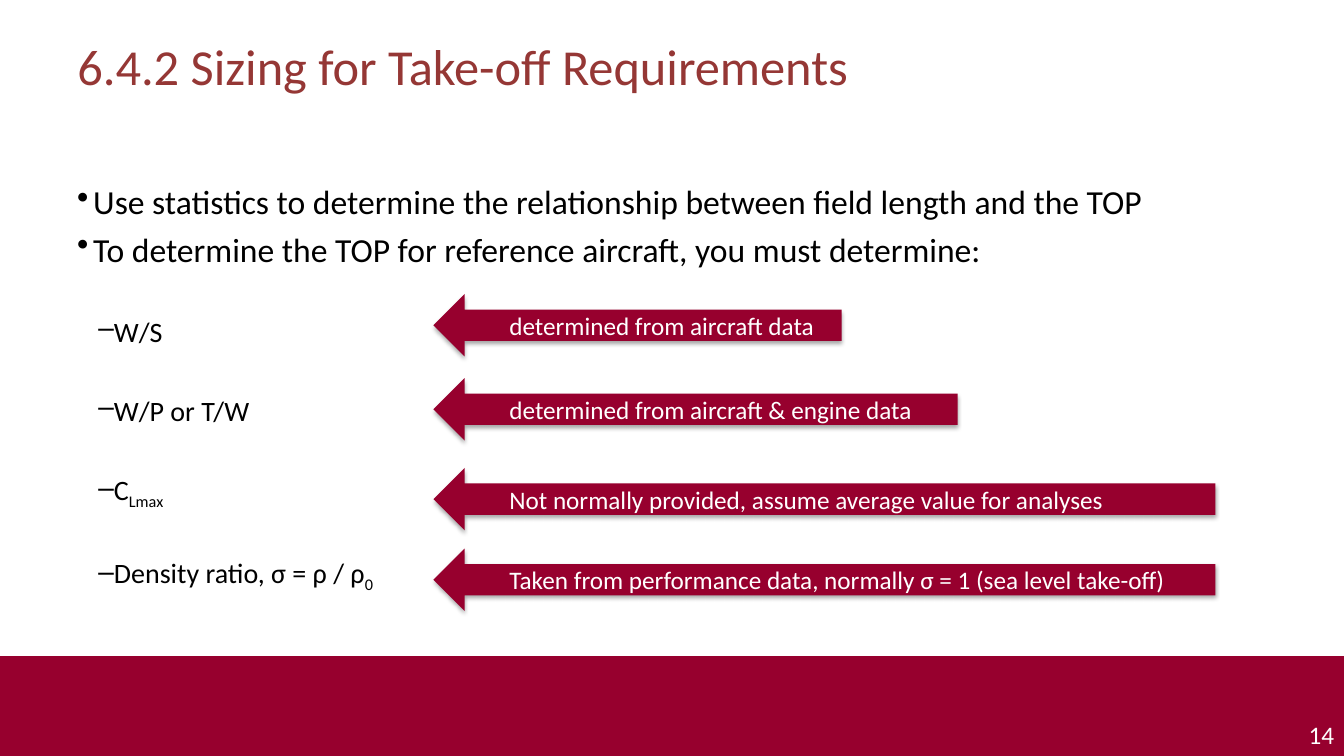
from dataclasses import dataclass

from lxml import etree
from pptx import Presentation
from pptx import util as u
from pptx.dml.color import RGBColor
from pptx.enum import shapes, text
from pptx.oxml.ns import qn


@dataclass(frozen=True)
class Theme:
    font: str = "Calibri"
    maroon: str = "97002E"
    heading: str = "953735"
    ink: str = "000000"
    paper: str = "FFFFFF"
    title_size: int = 36
    point_size: int = 24
    item_size: int = 20
    label_size: int = 18


class SlideBuilder:
    COLUMNS, ROWS = 80, 45

    def __init__(self, deck, theme):
        self.theme = theme
        self.column = deck.slide_width / self.COLUMNS
        self.row = deck.slide_height / self.ROWS
        self.slide = deck.slides.add_slide(deck.slide_layouts[5])

    def place(self, left, top, width, height):
        return (round(left * self.column), round(top * self.row),
                round(width * self.column), round(height * self.row))

    def add_words(self, paragraph, wording, size, color, baseline=0):
        run = paragraph.add_run()
        run.text = wording
        run.font.name = self.theme.font
        run.font.size = u.Pt(size)
        run.font.color.rgb = RGBColor.from_string(color)
        if baseline:
            run._r.get_or_add_rPr().set("baseline", str(baseline * 1000))

    def indent(self, paragraph, margin, hanging=0, bullet=None):
        properties = paragraph._p.get_or_add_pPr()
        properties.set("marL", str(u.Inches(margin)))
        properties.set("indent", str(-u.Inches(hanging)))
        if bullet:
            etree.SubElement(properties, qn("a:buChar")).set("char", bullet)

    def title(self, wording, *cell):
        heading = self.slide.shapes.title
        heading.left, heading.top, heading.width, heading.height = self.place(*cell)
        frame = heading.text_frame
        frame.vertical_anchor = text.MSO_ANCHOR.TOP
        frame.auto_size = text.MSO_AUTO_SIZE.NONE
        frame.paragraphs[0].alignment = text.PP_ALIGN.LEFT
        self.add_words(frame.paragraphs[0], wording, self.theme.title_size, self.theme.heading)

    def text_box(self, *cell):
        frame = self.slide.shapes.add_textbox(*self.place(*cell)).text_frame
        frame.word_wrap = True
        return frame

    def outline(self, points, items, *cell):
        theme = self.theme
        frame = self.text_box(*cell)
        lines = [([point], theme.point_size, 0.16, 0.16, "•", 4.8) for point in points]
        lines += [(item, theme.item_size, 0.34, 0.13, "–", 32.4) for item in items]
        for number, (parts, size, margin, hanging, bullet, gap) in enumerate(lines):
            paragraph = frame.add_paragraph() if number else frame.paragraphs[0]
            self.indent(paragraph, margin, hanging, bullet)
            if number:
                paragraph.space_before = u.Pt(gap)
            for wording, baseline in zip(parts, (0, -25)):
                self.add_words(paragraph, wording, size, theme.ink, baseline)

    def block(self, preset, *cell):
        block = self.slide.shapes.add_shape(preset, *self.place(*cell))
        block.shadow.inherit = False
        block.fill.solid()
        block.fill.fore_color.rgb = RGBColor.from_string(self.theme.maroon)
        block.line.fill.background()
        return block

    def arrow(self, wording, *cell):
        arrow = self.block(shapes.MSO_SHAPE.LEFT_ARROW, *cell)
        effects = arrow._element.spPr.find(qn("a:effectLst"))
        shadow = etree.SubElement(effects, qn("a:outerShdw"), blurRad=str(u.Pt(3.1)),
                                  dist=str(u.Pt(1.8)), dir="5400000", rotWithShape="0")
        tint = etree.SubElement(shadow, qn("a:srgbClr"), val=self.theme.ink)
        etree.SubElement(tint, qn("a:alpha"), val="35000")
        frame = arrow.text_frame
        frame.vertical_anchor = text.MSO_ANCHOR.MIDDLE
        label = frame.paragraphs[0]
        label.alignment = text.PP_ALIGN.LEFT
        self.indent(label, 0.5)
        self.add_words(label, wording, self.theme.label_size, self.theme.paper)

    def footer(self, page, top):
        self.block(shapes.MSO_SHAPE.RECTANGLE, 0, top, self.COLUMNS, self.ROWS - top)
        number = self.text_box(75.75, 42.54, 4.25, 2.4).paragraphs[0]
        number.alignment = text.PP_ALIGN.RIGHT
        self.add_words(number, page, self.theme.label_size, self.theme.paper)


POINTS = [
    "Use statistics to determine the relationship between field length and the TOP",
    "To determine the TOP for reference aircraft, you must determine:",
]
PARAMETERS = [["W/S"], ["W/P or T/W"], ["C", "Lmax"], ["Density ratio, σ = ρ / ρ", "0"]]
SOURCES = [
    ("determined from aircraft data", 17.5, 24.3),
    ("determined from aircraft & engine data", 22.5, 31.2),
    ("Not normally provided, assume average value for analyses", 27.85, 46.55),
    ("Taken from performance data, normally σ = 1 (sea level take-off)", 32.65, 46.55),
]


def main():
    deck = Presentation()
    deck.slide_width, deck.slide_height = u.Inches(13.33), u.Inches(7.5)
    sizing = SlideBuilder(deck, Theme())
    sizing.footer("14", 39.06)
    sizing.title("6.4.2 Sizing for Take-off Requirements", 4, 1.8, 72, 7.5)
    sizing.outline(POINTS, PARAMETERS, 4, 10.5, 72, 26.94)
    for wording, top, width in SOURCES:
        sizing.arrow(wording, 25.8, top, width, 3.72)
    deck.save("out.pptx")


if __name__ == "__main__":
    main()
